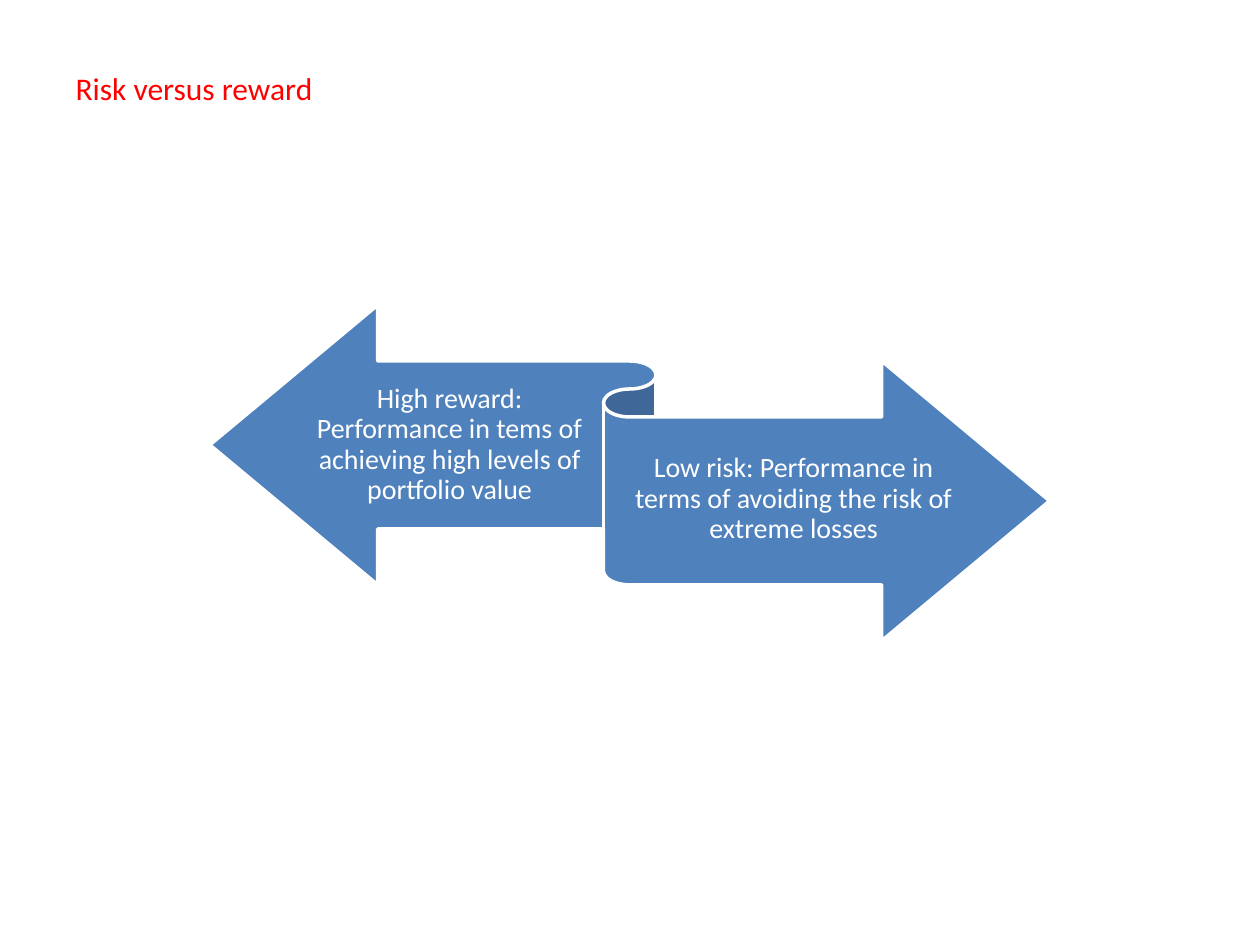
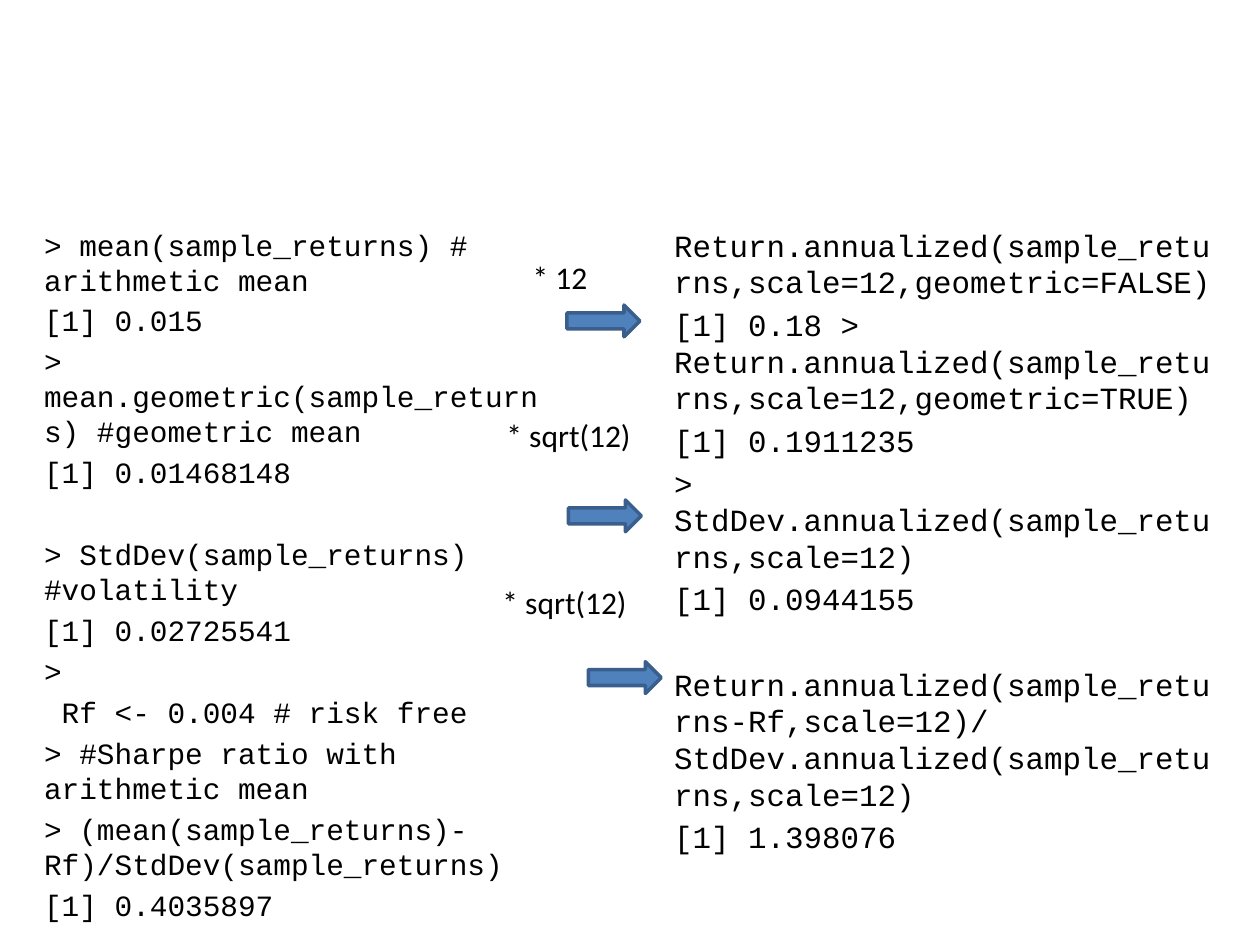
from pptx import Presentation
from pptx import util as u
from pptx.dml.color import RGBColor
from pptx.enum import shapes, text

BLACK = RGBColor(0x00, 0x00, 0x00)
WHITE = RGBColor(0xFF, 0xFF, 0xFF)
RED = RGBColor(0xFF, 0x00, 0x00)
BLUE = RGBColor(0x4F, 0x81, 0xBD)
DARK_BLUE = RGBColor(0x3A, 0x5F, 0x8C)
BODY_FONT = "Calibri"
CODE_FONT = "Courier New"


def add_text(page, frame, lines, size, font=BODY_FONT, color=BLACK):
    box = page.shapes.add_textbox(*map(u.Cm, frame))
    box.text_frame.word_wrap = True
    box.text_frame.text = "\n".join(lines)
    for para in box.text_frame.paragraphs:
        para.font.size = u.Pt(size)
        for span in para.runs:
            span.font.size = u.Pt(size)
            span.font.name = font
            span.font.color.rgb = color
    return box.text_frame


def add_blue_shape(page, kind, frame, line_color):
    shape = page.shapes.add_shape(kind, *map(u.Cm, frame))
    shape.shadow.inherit = False
    shape.fill.solid()
    shape.fill.fore_color.rgb = BLUE
    shape.line.color.rgb = line_color
    shape.line.width = u.Pt(2)


deck = Presentation()
deck.slide_width = u.Cm(25.4)
deck.slide_height = u.Cm(19.05)

page = deck.slides.add_slide(deck.slide_layouts[5])
title = page.shapes.title
title.left, title.top, title.width, title.height = map(u.Cm, (1.27, 1.27, 20.75, 1.02))
title.text_frame.text = "Risk versus reward"
title.text_frame.auto_size = text.MSO_AUTO_SIZE.NONE
title.text_frame.vertical_anchor = text.MSO_ANCHOR.TOP
para = title.text_frame.paragraphs[0]
para.alignment = text.PP_ALIGN.LEFT
span = para.runs[0]
span.font.size = u.Pt(18)
span.font.name = BODY_FONT
span.font.color.rgb = RED

add_blue_shape(page, shapes.MSO_SHAPE.LEFT_RIGHT_RIBBON, (4.23, 6.15, 16.93, 6.77), WHITE)
ribbon_texts = [
    ((6.27, 7.32, 5.59, 3.33),
     "High reward: Performance in tems of achieving high levels of portfolio value"),
    ((12.7, 8.41, 6.6, 3.33),
     "Low risk: Performance in terms of avoiding the risk of extreme losses"),
]
for frame, wording in ribbon_texts:
    label = add_text(page, frame, [wording], 16, color=WHITE)
    label.margin_left = label.margin_right = 0
    label.margin_top, label.margin_bottom = u.Cm(0.15), u.Cm(0.18)
    label.vertical_anchor = text.MSO_ANCHOR.MIDDLE
    label.paragraphs[0].alignment = text.PP_ALIGN.CENTER
    label.paragraphs[0].line_spacing = 0.9

page = deck.slides.add_slide(deck.slide_layouts[6])
annual_code = [
    "Return.annualized(sample_returns,scale=12,geometric=FALSE)",
    "[1] 0.18 > Return.annualized(sample_returns,scale=12,geometric=TRUE)",
    "[1] 0.1911235",
    "> StdDev.annualized(sample_returns,scale=12)",
    "[1] 0.0944155",
    "Return.annualized(sample_returns-Rf,scale=12)/StdDev.annualized(sample_returns,scale=12)",
    "[1] 1.398076",
]
monthly_code = [
    "> mean(sample_returns) # arithmetic mean",
    "[1] 0.015",
    "> mean.geometric(sample_returns) #geometric mean",
    "[1] 0.01468148",
    "> StdDev(sample_returns) #volatility",
    "[1] 0.02725541",
    ">",
    " Rf <- 0.004 # risk free",
    "> #Sharpe ratio with arithmetic mean",
    "> (mean(sample_returns)-Rf)/StdDev(sample_returns)",
    "[1] 0.4035897",
]
code_columns = [
    (13.34, 11.63, annual_code, 17.6, 20.9, 5),
    (0.64, 10.8, monthly_code, 16.8, 20, 4),
]
for left, width, lines, size, pitch, section_start in code_columns:
    code = add_text(page, (left, 4.45, width, 12.57), lines, size, CODE_FONT)
    gap = 0.2 * size
    for index, para in enumerate(code.paragraphs):
        para.line_spacing = u.Pt(pitch)
        para.space_before = u.Pt(2 * gap + pitch if index == section_start else gap)

for left, top in [(11.43, 6.15), (11.46, 10.08), (11.86, 13.34)]:
    add_blue_shape(page, shapes.MSO_SHAPE.RIGHT_ARROW, (left, top, 1.47, 0.64), DARK_BLUE)

scale_factors = [
    (10.49, 5.08, 2.34, "* 12"),
    (9.96, 8.26, 3.58, "* sqrt(12)"),
    (9.88, 11.63, 3.58, "* sqrt(12)"),
]
for left, top, width, factor in scale_factors:
    add_text(page, (left, top, width, 1.02), [factor], 18)

deck.save("out.pptx")
